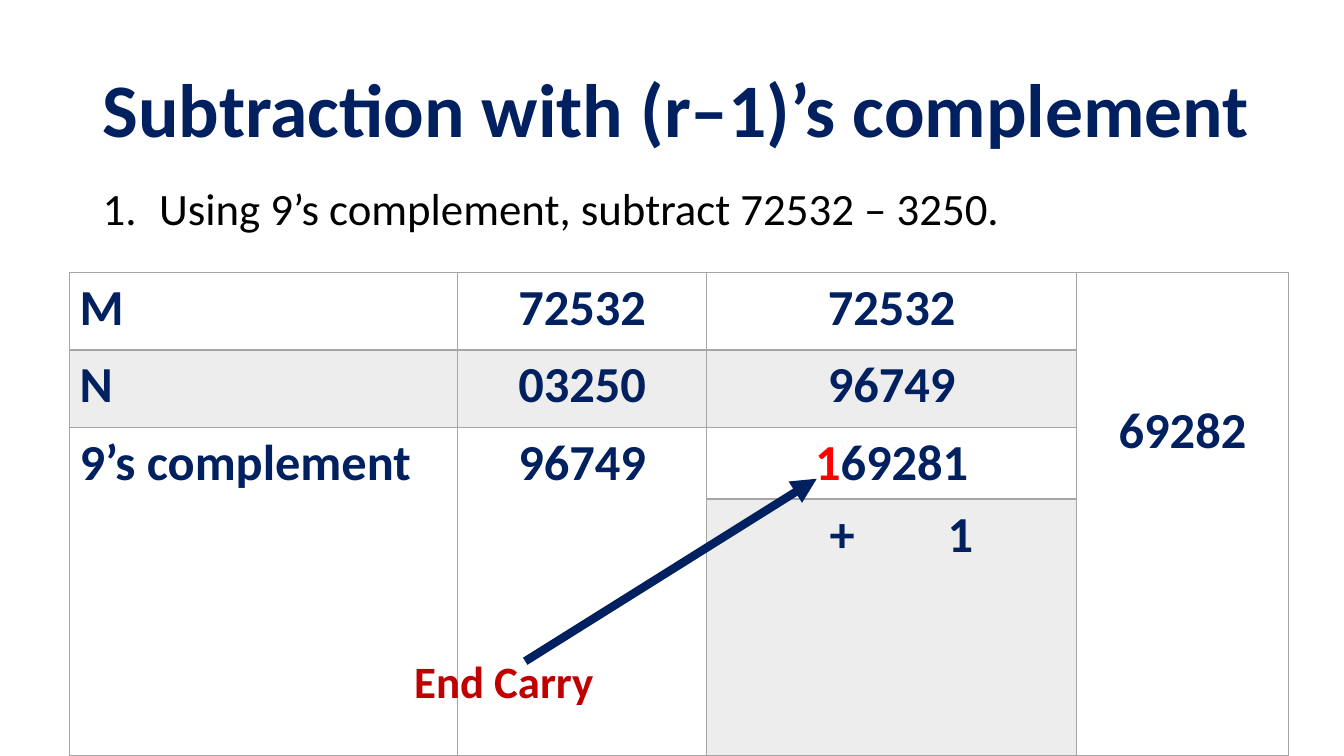
from dataclasses import dataclass

from lxml import etree
from pptx import Presentation
from pptx import util as u
from pptx.dml.color import RGBColor
from pptx.enum import shapes, text
from pptx.oxml import ns

COLORS = {"navy": "002060", "black": "000000", "red": "FF0000",
          "dark_red": "C00000", "gray": "A5A5A5", "band": "EDEDED"}
FONT = "Calibri"
WIDTH, HEIGHT = u.Inches(13.33), u.Inches(7.5)
TABLE_LEFT, TABLE_TOP = 5.18, 36
COLUMNS = (28.88, 18.53, 27.53, 15.75)
ROWS = (10.27, 10.27, 9.46, 34)


@dataclass(frozen=True)
class Label:
    wording: str
    left: float
    top: float
    width: float
    height: float
    size: int
    color: str
    bold: bool = True
    line_spacing: float = 1.0
    anchor: text.MSO_ANCHOR = text.MSO_ANCHOR.TOP
    numbered: bool = False


@dataclass(frozen=True)
class Entry:
    row: int
    column: int
    wording: str
    carry: str = ""
    rows: int = 1
    banded: bool = False
    margin_top: float = 0.05


LABELS = (
    Label("Subtraction with (r–1)’s complement", 6.9, 5.33, 88.75, 19.33, 54, "navy",
          line_spacing=0.9, anchor=text.MSO_ANCHOR.MIDDLE),
    Label("Using 9’s complement, subtract 72532 – 3250.", 6.9, 24.67, 86.27, 7.33, 32,
          "black", bold=False, line_spacing=0.8, numbered=True),
    Label("End Carry", 30.08, 85.87, 21.16, 8.53, 32, "dark_red"),
)
ENTRIES = (
    Entry(0, 0, "M"),
    Entry(0, 1, "72532"),
    Entry(0, 2, "72532"),
    Entry(0, 3, "69282", rows=4, margin_top=1.27),
    Entry(1, 0, "N", banded=True),
    Entry(1, 1, "03250", banded=True),
    Entry(1, 2, "96749", banded=True),
    Entry(2, 0, "9’s complement", rows=2),
    Entry(2, 1, "96749", rows=2),
    Entry(2, 2, "69281", carry="1"),
    Entry(3, 2, "+\t1", banded=True),
)


def across(percent: float) -> int:
    """Turn a share of the slide's width into a length."""
    return round(WIDTH * percent / 100)


def down(percent: float) -> int:
    """Turn a share of the slide's height into a length."""
    return round(HEIGHT * percent / 100)


def rgb(name: str) -> RGBColor:
    """Look up a named colour."""
    return RGBColor.from_string(COLORS[name])


def add_element(parent, tag: str, **attributes):
    """Append a drawing element with the given attributes."""
    values = {key: str(value) for key, value in attributes.items()}
    return etree.SubElement(parent, ns.qn(tag), values)


def style(font, size: int, color: str, bold: bool) -> None:
    """Set the typeface, size, colour and weight of a font."""
    font.name, font.size, font.bold = FONT, u.Pt(size), bold
    font.color.rgb = rgb(color)


def add_label(slide, label: Label) -> None:
    """Add a text box, numbered when the label asks for it."""
    shape = slide.shapes.add_textbox(across(label.left), down(label.top),
                                     across(label.width), down(label.height))
    frame = shape.text_frame
    frame.word_wrap = True
    frame.vertical_anchor = label.anchor
    paragraph = frame.paragraphs[0]
    paragraph.text = label.wording
    paragraph.line_spacing = label.line_spacing
    style(paragraph.font, label.size, label.color, label.bold)
    if label.numbered:
        paragraph.space_before = u.Pt(10)
        properties = paragraph._p.get_or_add_pPr()
        properties.set("marL", str(u.Inches(0.56)))
        properties.set("indent", str(-u.Inches(0.56)))
        number = add_element(properties, "a:buAutoNum", type="arabicPeriod")
        properties.find(ns.qn("a:defRPr")).addprevious(number)


def add_borders(cell, row: int) -> None:
    """Outline a cell, with a heavier rule below the first row."""
    properties = cell._tc.get_or_add_tcPr()
    for side in "LRTB":
        heavy = (row, side) in ((0, "B"), (1, "T"))
        line = add_element(properties, f"a:ln{side}", w=u.Pt(2 if heavy else 1))
        add_element(add_element(line, "a:solidFill"), "a:srgbClr", val=COLORS["gray"])


def fill_entry(table, entry: Entry) -> None:
    """Write one table entry and shade its cell."""
    cell = table.cell(entry.row, entry.column)
    if entry.rows > 1:
        cell.merge(table.cell(entry.row + entry.rows - 1, entry.column))
    cell.margin_top = u.Inches(entry.margin_top)
    paragraph = cell.text_frame.paragraphs[0]
    if entry.carry:
        run = paragraph.add_run()
        run.text = entry.carry
        style(run.font, 36, "red", True)
    run = paragraph.add_run()
    run.text = entry.wording
    style(run.font, 36, "navy", True)
    if "\t" in entry.wording:
        cell.margin_left = u.Inches(1.22)
        stops = add_element(paragraph._p.get_or_add_pPr(), "a:tabLst")
        add_element(stops, "a:tab", pos=u.Inches(1.17), algn="l")
    elif entry.column:
        paragraph.alignment = text.PP_ALIGN.CENTER
    if entry.banded:
        cell.fill.solid()
        cell.fill.fore_color.rgb = rgb("band")


def add_working(slide) -> None:
    """Add the table that works through the subtraction."""
    table = slide.shapes.add_table(len(ROWS), len(COLUMNS), across(TABLE_LEFT),
                                   down(TABLE_TOP), across(sum(COLUMNS)),
                                   down(sum(ROWS))).table
    table.first_row = table.horz_banding = False
    for column, share in zip(table.columns, COLUMNS):
        column.width = across(share)
    for index, (row, share) in enumerate(zip(table.rows, ROWS)):
        row.height = down(share)
        for cell in row.cells:
            add_borders(cell, index)
            cell.fill.background()
    for entry in ENTRIES:
        fill_entry(table, entry)


def add_carry_arrow(slide) -> None:
    """Point from the end carry label to the carried digit."""
    arrow = slide.shapes.add_connector(shapes.MSO_CONNECTOR.STRAIGHT, across(39.08),
                                       down(87.47), across(60.77), down(63.33))
    arrow.line.color.rgb = rgb("navy")
    arrow.line.width = u.Pt(6)
    add_element(arrow.line._get_or_add_ln(), "a:tailEnd", type="triangle")
    add_element(arrow._element.spPr, "a:effectLst")


def main() -> None:
    """Build the slide and save it."""
    presentation = Presentation()
    presentation.slide_width, presentation.slide_height = WIDTH, HEIGHT
    slide = presentation.slides.add_slide(presentation.slide_layouts[6])
    title, question, end_carry = LABELS
    add_label(slide, title)
    add_label(slide, question)
    add_working(slide)
    add_label(slide, end_carry)
    add_carry_arrow(slide)
    presentation.save("out.pptx")


if __name__ == "__main__":
    main()
